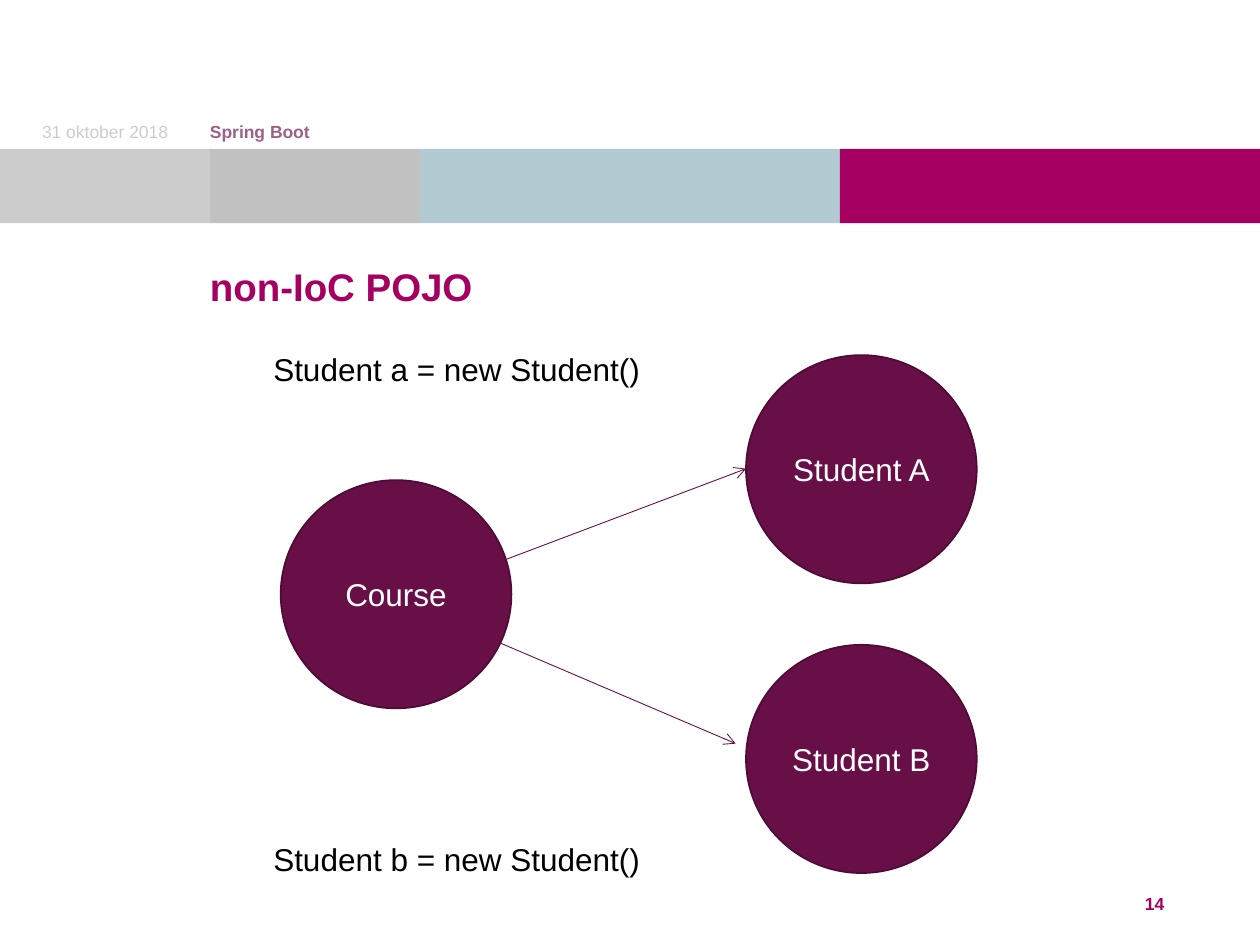
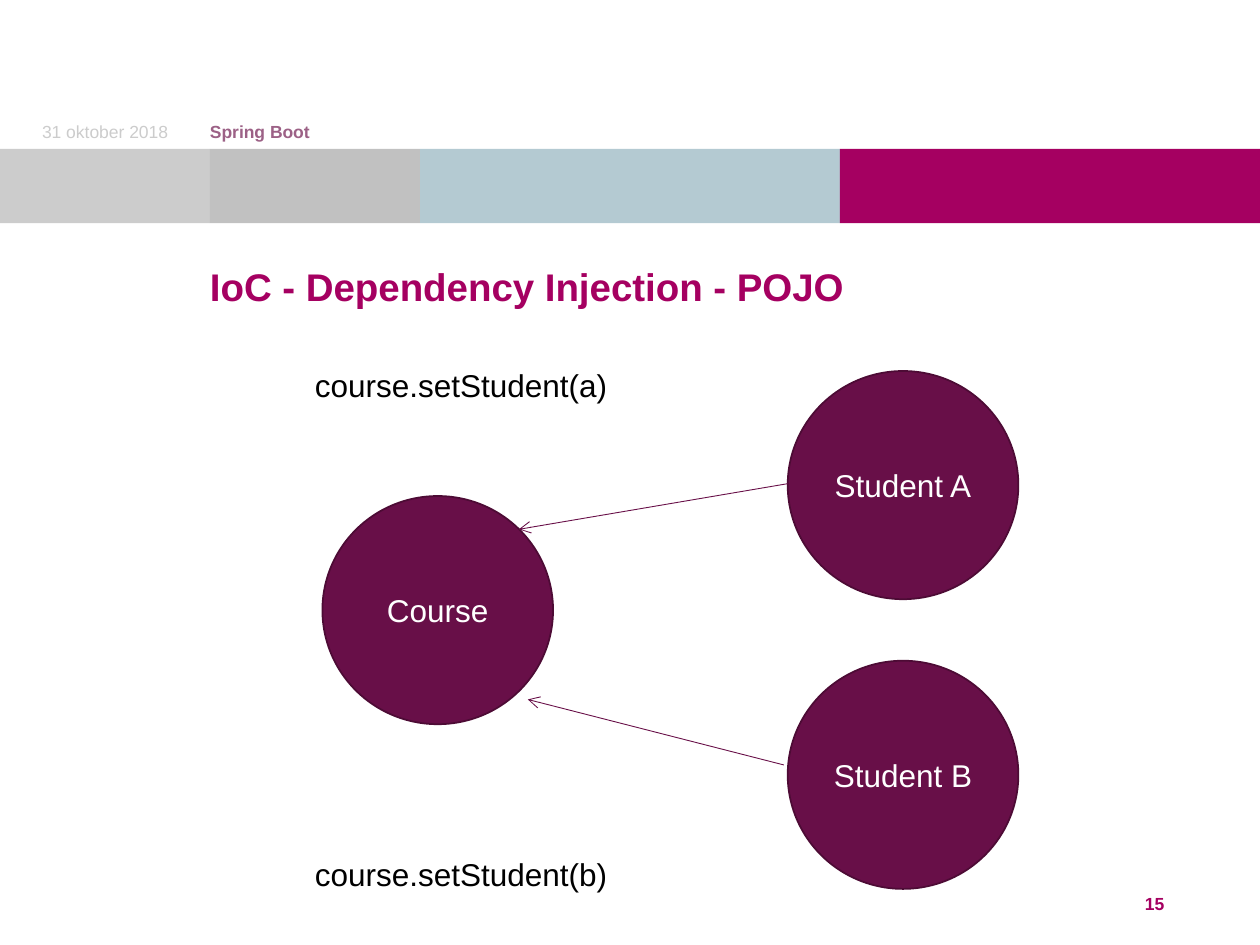
from lxml import etree
from pptx import Presentation
from pptx.dml.color import RGBColor
from pptx.enum.shapes import MSO_CONNECTOR as Connector, MSO_SHAPE as Shape
from pptx.enum.text import MSO_ANCHOR as Anchor, PP_ALIGN as Align
from pptx.oxml.ns import qn
from pptx.util import Cm, Pt

FONT = "Arial"
MAGENTA = "A50061"
LIGHT_GREY = "CCCCCC"
MID_GREY = "C1C1C1"
PALE_BLUE = "B4CAD2"
MAUVE = "9C6186"
PLUM = "680F48"
DARK_PLUM = "4D0B35"
WHITE = "FFFFFF"
BLACK = "000000"

SLIDE_WIDTH, SLIDE_HEIGHT = 25.4, 19.05
COLUMN = SLIDE_WIDTH / 6
BAND_TOP, BAND_HEIGHT = 3.0, 1.5
BANDS = [(LIGHT_GREY, 1), (MID_GREY, 1), (PALE_BLUE, 2), (MAGENTA, 2)]

CIRCLE_WIDTH, CIRCLE_HEIGHT = 4.65, 4.6
CIRCLES = [("Course", 5.66, 9.68), ("Student A", 15.04, 7.16), ("Student B", 15.04, 13.0)]
CAPTION_LEFT, CAPTION_TOPS = 5.26, (6.93, 16.8)

# Each diagram has its own offset; arrow ends are (x, y) on the slide.
DIAGRAMS = [
    {
        "number": 14,
        "title": "non-IoC POJO",
        "offset": (0, 0),
        "captions": ["Student a = new Student()", "Student b = new Student()"],
        "arrows": [((9.53, 11.53), (15.04, 9.45)), ((9.47, 12.7), (14.83, 14.99))],
    },
    {
        "number": 15,
        "title": "IoC - Dependency Injection - POJO",
        "offset": (0.84, 0.32),
        "captions": ["course.setStudent(a)", "course.setStudent(b)"],
        "arrows": [((15.88, 9.75), (10.46, 10.67)), ((15.8, 15.42), (10.64, 14.1))],
    },
]


def rgb(hex_code):
    return RGBColor.from_string(hex_code)


def write(frame, text, size, color, bold=False, align=Align.LEFT):
    frame.text = text
    frame.word_wrap = True
    paragraph = frame.paragraphs[0]
    paragraph.alignment = align
    font = paragraph.runs[0].font
    font.name, font.size, font.bold = FONT, Pt(size), bold
    font.color.rgb = rgb(color)


def add_label(slide, box, text, size, color, anchor=Anchor.TOP, **style):
    """Add text that fills its box to the edges."""
    frame = slide.shapes.add_textbox(*map(Cm, box)).text_frame
    frame.margin_left = frame.margin_right = frame.margin_top = frame.margin_bottom = 0
    frame.vertical_anchor = anchor
    write(frame, text, size, color, **style)


def add_filled(slide, preset, box, color):
    shape = slide.shapes.add_shape(preset, *map(Cm, box))
    shape.shadow.inherit = False
    shape.fill.solid()
    shape.fill.fore_color.rgb = rgb(color)
    shape.line.fill.background()
    return shape


def add_bands(slide):
    left = 0
    for color, columns in BANDS:
        width = columns * COLUMN
        add_filled(slide, Shape.RECTANGLE, (left, BAND_TOP, width, BAND_HEIGHT), color)
        left += width


def add_frame(slide, title, number):
    """Add the bands, header, title and page number that every slide has."""
    add_bands(slide)
    add_label(slide, (COLUMN, 5.31, 4 * COLUMN, 1.85), title, 22, MAGENTA, bold=True)
    add_label(slide, (0, 2.39, COLUMN, 0.48), "31 oktober 2018", 10, LIGHT_GREY,
              Anchor.BOTTOM, align=Align.CENTER)
    add_label(slide, (COLUMN, 2.39, 4 * COLUMN, 0.48), "Spring Boot", 10, MAUVE,
              Anchor.BOTTOM, bold=True)
    add_label(slide, (22.78, 18.01, 0.99, 0.48), str(number), 10, MAGENTA,
              bold=True, align=Align.CENTER)


def add_circle(slide, text, left, top):
    circle = add_filled(slide, Shape.OVAL, (left, top, CIRCLE_WIDTH, CIRCLE_HEIGHT), PLUM)
    circle.line.color.rgb = rgb(DARK_PLUM)
    circle.line.width = Pt(1)
    circle.text_frame.vertical_anchor = Anchor.MIDDLE
    write(circle.text_frame, text, 18, WHITE, align=Align.CENTER)


def add_arrow(slide, start, end):
    arrow = slide.shapes.add_connector(Connector.STRAIGHT, *map(Cm, start + end))
    arrow.line.color.rgb = rgb(PLUM)
    arrow.line.width = Pt(0.5)
    properties = arrow.element.spPr
    etree.SubElement(properties.find(qn("a:ln")), qn("a:tailEnd"), type="arrow")
    etree.SubElement(properties, qn("a:effectLst"))


def add_caption(slide, text, left, top):
    caption = slide.shapes.add_textbox(Cm(left), Cm(top), Cm(10.67), Cm(1.02))
    write(caption.text_frame, text, 18, BLACK)


def add_diagram(slide, offset, captions, arrows):
    dx, dy = offset
    for text, left, top in CIRCLES:
        add_circle(slide, text, left + dx, top + dy)
    for start, end in arrows:
        add_arrow(slide, start, end)
    for text, top in zip(captions, CAPTION_TOPS):
        add_caption(slide, text, CAPTION_LEFT + dx, top + dy)


def main():
    deck = Presentation()
    deck.slide_width, deck.slide_height = Cm(SLIDE_WIDTH), Cm(SLIDE_HEIGHT)
    blank = deck.slide_layouts[6]
    for diagram in DIAGRAMS:
        slide = deck.slides.add_slide(blank)
        add_frame(slide, diagram["title"], diagram["number"])
        add_diagram(slide, diagram["offset"], diagram["captions"], diagram["arrows"])
    deck.save("out.pptx")


if __name__ == "__main__":
    main()
